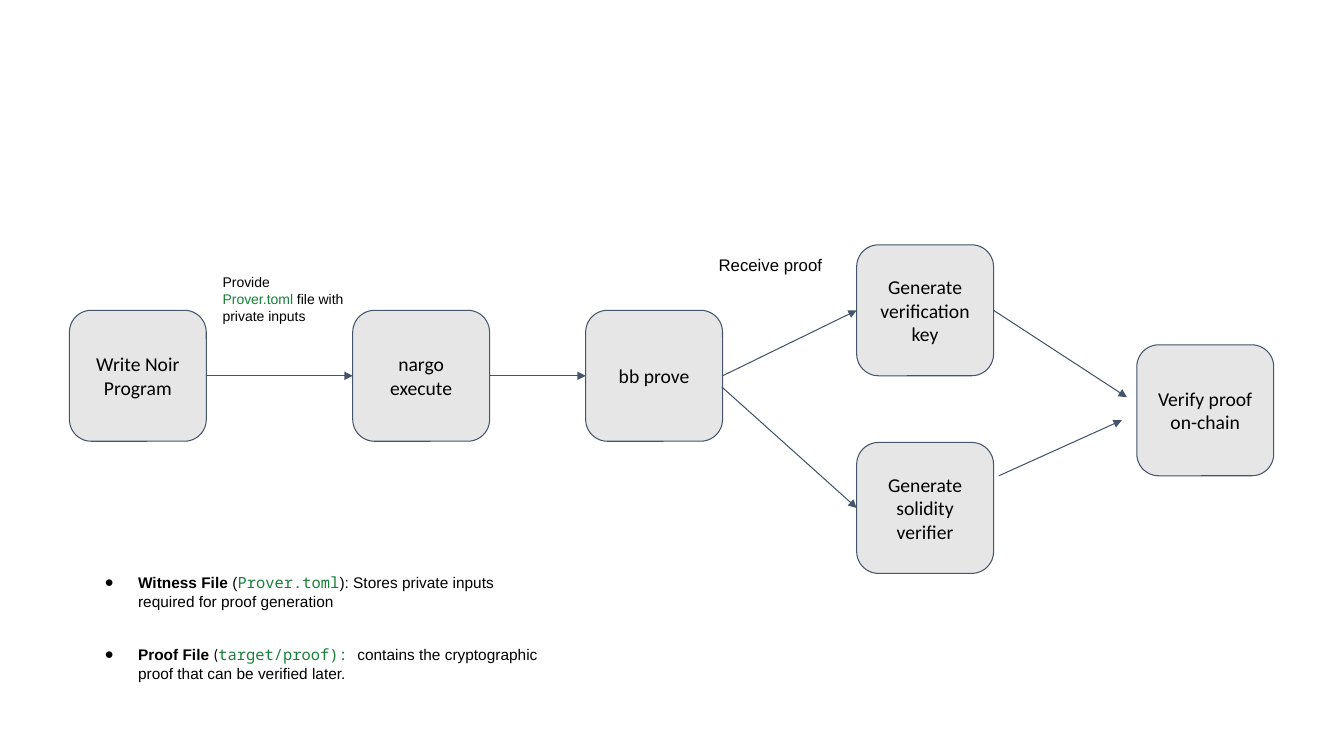
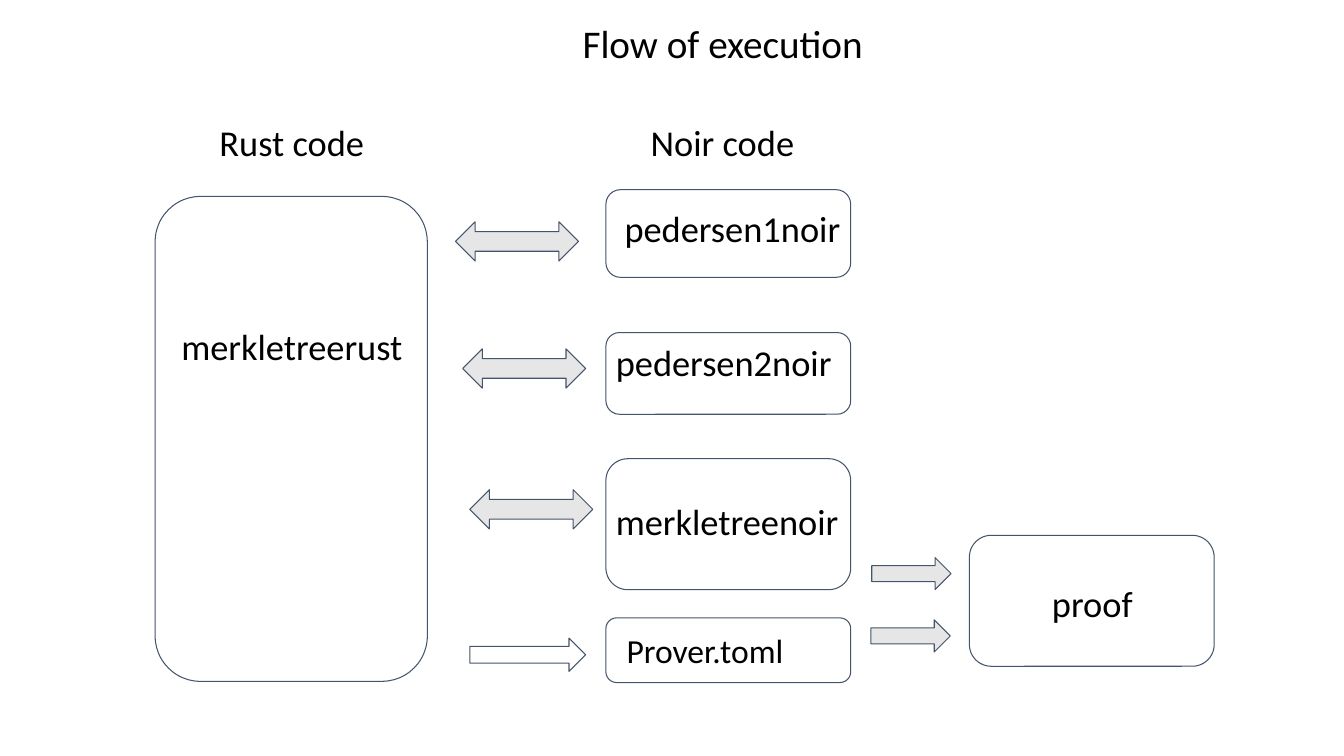
from lxml import etree
from pptx import Presentation, util as u
from pptx.dml.color import RGBColor
from pptx.enum import shapes, text
from pptx.oxml.ns import qn

COLOURS = {"ink": "000000", "outline": "44546A", "grey": "E7E6E6", "code": "188038"}
LINE_WIDTH = u.Pt(0.75)
INSET = u.Cm(0.25)
FRAME = {
    "word_wrap": True,
    "auto_size": text.MSO_AUTO_SIZE.NONE,
    "vertical_anchor": text.MSO_ANCHOR.TOP,
    "margin_left": INSET,
    "margin_right": INSET,
    "margin_top": INSET,
    "margin_bottom": INSET,
}
LEFT, RIGHT = 1, 3
KIND = shapes.MSO_SHAPE
STEP_SIZE = (3.45, 3.3)
NOIR_LEFT, NOIR_WIDTH = 15.27, 6.17


def colour(name):
    return RGBColor.from_string(COLOURS[name])


def lengths(values):
    return [u.Cm(value) for value in values]


def set_all(target, values):
    for name, value in values.items():
        setattr(target, name, value)


def add_span(para, words, size, font="Calibri", ink="ink", bold=False):
    span = para.add_run()
    span.text = words
    set_all(span.font, {"size": u.Pt(size), "name": font, "bold": bold})
    span.font.color.rgb = colour(ink)


def write(box, words, size, align=text.PP_ALIGN.LEFT, **frame):
    """Format the frame of a box and put one line of Calibri in it."""
    set_all(box.text_frame, {**FRAME, **frame})
    para = box.text_frame.paragraphs[0]
    para.alignment = align
    add_span(para, words, size)


def add_label(page, words, place, size=26):
    write(page.shapes.add_textbox(*lengths(place)), words, size)


def add_rich_text(page, place, paragraphs):
    """Add a text box from lists of span arguments; return its paragraphs."""
    frame = page.shapes.add_textbox(*lengths(place)).text_frame
    set_all(frame, FRAME)
    for index, spans in enumerate(paragraphs):
        para = frame.add_paragraph() if index else frame.paragraphs[0]
        for span in spans:
            add_span(para, **span)
    return frame.paragraphs


def add_bullet(para):
    props = para._p.get_or_add_pPr()
    props.set("marL", str(u.Cm(1.27)))
    props.set("indent", str(u.Cm(-0.84)))
    bullet_colour = etree.SubElement(props, qn("a:buClr"))
    etree.SubElement(bullet_colour, qn("a:srgbClr"), val=COLOURS["ink"])
    etree.SubElement(props, qn("a:buFont"), typeface="Arial")
    etree.SubElement(props, qn("a:buChar"), char="●")


def add_outlined(page, kind, place, fill=None):
    shape = page.shapes.add_shape(kind, *lengths(place))
    shape.shadow.inherit = False
    shape.line.color.rgb = colour("outline")
    shape.line.width = LINE_WIDTH
    if fill:
        shape.fill.solid()
        shape.fill.fore_color.rgb = colour(fill)
    else:
        shape.fill.background()
    return shape


def add_step(page, words, left, top):
    step = add_outlined(page, KIND.ROUNDED_RECTANGLE, (left, top, *STEP_SIZE), "grey")
    write(step, words, 14, text.PP_ALIGN.CENTER, vertical_anchor=text.MSO_ANCHOR.MIDDLE)
    return step


def add_arrow(page, start, end):
    """Draw an arrow; each end is a step to join or a point in cm."""
    points = [lengths(spot) if isinstance(spot, tuple) else (0, 0) for spot in (start, end)]
    arrow = page.shapes.add_connector(shapes.MSO_CONNECTOR.STRAIGHT, *points[0], *points[1])
    if not isinstance(start, tuple):
        arrow.begin_connect(start, RIGHT)
    if not isinstance(end, tuple):
        arrow.end_connect(end, LEFT)
    arrow.line.color.rgb = colour("outline")
    arrow.line.width = LINE_WIDTH
    etree.SubElement(arrow.line._get_or_add_ln(), qn("a:tailEnd"), type="triangle")
    etree.SubElement(arrow._element.spPr, qn("a:effectLst"))


def build_proof_steps(deck):
    page = deck.slides.add_slide(deck.slide_layouts[6])
    program = add_step(page, "Write Noir Program", 1.75, 7.82)
    execute = add_step(page, "nargo execute", 8.89, 7.82)
    prove = add_step(page, "bb prove", 14.76, 7.82)
    key = add_step(page, "Generate verification key", 21.59, 6.17)
    verifier = add_step(page, "Generate solidity verifier", 21.59, 11.15)
    add_step(page, "Verify proof on-chain", 28.65, 8.69)

    for start, end in (
        (program, execute),
        (execute, prove),
        (prove, key),
        ((18.19, 9.75), verifier),
        (key, (28.4, 10.01)),
        ((25.17, 11.99), (28.27, 10.59)),
    ):
        add_arrow(page, start, end)

    small = {"size": 10, "font": "Arial"}
    add_rich_text(page, (5.36, 6.65, 3.68, 3.68), [
        [{"words": "Provide", **small}],
        [{"words": "Prover.toml", "ink": "code", **small},
         {"words": " file with private inputs", **small}],
    ])
    add_rich_text(page, (17.86, 6.17, 3.68, 1.96), [
        [{"words": "Receive proof", "size": 12, "font": "Arial"}],
    ])

    plain = {"size": 11, "font": "Arial"}
    code = {"size": 11, "font": "Noto Sans Mono", "ink": "code"}
    notes = add_rich_text(page, (1.96, 14.2, 11.96, 3.33), [
        [{"words": "Witness File", "bold": True, **plain},
         {"words": " (", **plain},
         {"words": "Prover.toml", **code},
         {"words": "): Stores private inputs required for proof generation", **plain}],
        [{"words": "Proof File ", "bold": True, **plain},
         {"words": "(", "size": 11},
         {"words": "target/proof): ", **code},
         {"words": "contains the cryptographic proof that can be verified later.", **plain}],
    ])
    notes[0].space_after = u.Pt(25)
    for note in notes:
        add_bullet(note)


def build_execution_flow(deck):
    page = deck.slides.add_slide(deck.slide_layouts[5])
    title = page.shapes.title
    title.left, title.top, title.width, title.height = lengths((14.43, 0.23, 9.09, 1.7))
    write(title, "Flow of execution", 28)

    noir_boxes = [(NOIR_LEFT, top, NOIR_WIDTH, height) for top, height in
                  ((4.78, 2.21), (8.38, 2.06), (11.56, 3.3), (15.57, 1.63))]
    for place in [(3.91, 4.95, 6.86, 12.22), *noir_boxes, (24.43, 13.49, NOIR_WIDTH, 3.3)]:
        add_outlined(page, KIND.ROUNDED_RECTANGLE, place)

    for words, place in (
        ("Rust code", (5.28, 2.77, 4.39, 1.63)),
        ("Noir code", (16.15, 2.77, 4.39, 1.63)),
        ("merkletreerust", (4.32, 7.92, NOIR_WIDTH, 1.63)),
        ("pedersen1noir", (15.49, 4.95, NOIR_WIDTH, 1.63)),
        ("pedersen2noir", (NOIR_LEFT, 8.33, NOIR_WIDTH, 1.63)),
        ("merkletreenoir", (NOIR_LEFT, 12.34, NOIR_WIDTH, 1.63)),
        ("proof", (26.26, 14.4, 3.4, 1.63)),
    ):
        add_label(page, words, place)
    add_label(page, "Prover.toml", (15.54, 15.62, 5.26, 1.55), 24)

    for left, top in ((11.48, 5.59), (11.66, 8.79), (11.84, 12.34)):
        add_outlined(page, KIND.LEFT_RIGHT_ARROW, (left, top, 3.1, 0.99), "grey")
    add_outlined(page, KIND.RIGHT_ARROW, (11.84, 16.08, 2.92, 0.84))
    for left, top in ((21.97, 14.05), (21.95, 15.62)):
        add_outlined(page, KIND.RIGHT_ARROW, (left, top, 2, 0.81), "grey")


def main():
    deck = Presentation()
    deck.slide_width, deck.slide_height = lengths((33.87, 19.05))
    build_proof_steps(deck)
    build_execution_flow(deck)
    deck.save("out.pptx")


if __name__ == "__main__":
    main()
